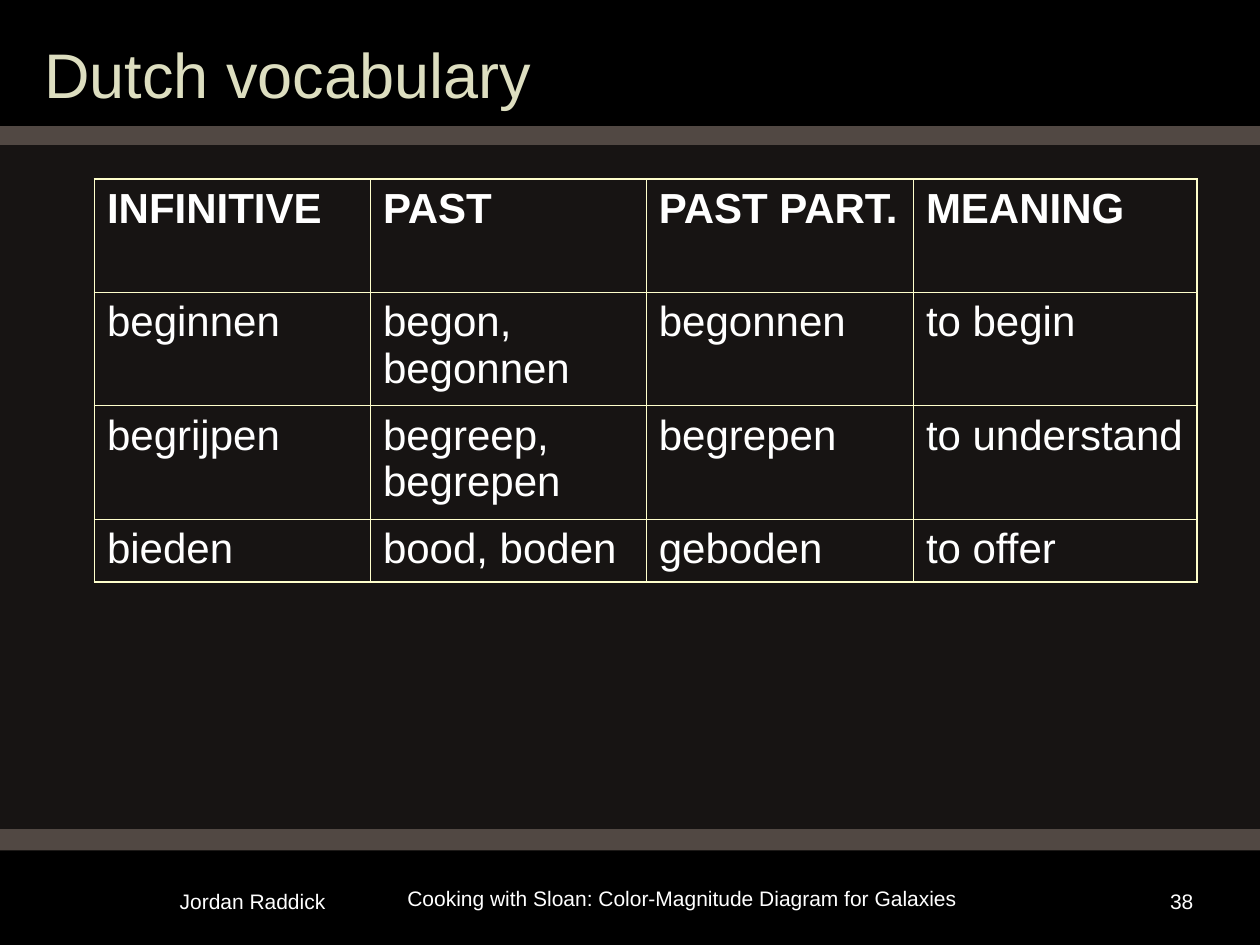
from lxml.etree import SubElement
from pptx import Presentation
from pptx.dml.color import RGBColor
from pptx.enum.shapes import MSO_SHAPE
from pptx.enum.text import MSO_ANCHOR, PP_ALIGN
from pptx.oxml.ns import qn
from pptx.util import Inches, Pt


def color(value):
    return RGBColor.from_string(value)


def add_text(para, text, size, value, bold=False):
    span = para.add_run()
    span.text = text
    span.font.name = "Arial"
    span.font.size = Pt(size)
    span.font.bold = bold
    span.font.color.rgb = color(value)


deck = Presentation()
deck.slide_width = Inches(10)
deck.slide_height = Inches(7.5)
page = deck.slides.add_slide(deck.slide_layouts[5])
page.background.fill.solid()
page.background.fill.fore_color.rgb = color("171413")

bands = [
    (6.66, 10.03, 0.84, "000000"),
    (0, 10.02, 1.08, "000000"),
    (1, 10.02, 0.15, "514843"),
    (6.58, 10.02, 0.17, "514843"),
]
for top, width, height, value in bands:
    band = page.shapes.add_shape(
        MSO_SHAPE.RECTANGLE, 0, Inches(top), Inches(width), Inches(height))
    band.shadow.inherit = False
    band.fill.solid()
    band.fill.fore_color.rgb = color(value)
    band.line.fill.background()

title = page.shapes.title
title.left, title.top = Inches(0.25), Inches(0.17)
title.width, title.height = Inches(6.92), Inches(0.83)
title.text_frame.vertical_anchor = MSO_ANCHOR.MIDDLE
title.text_frame.word_wrap = True
title_para = title.text_frame.paragraphs[0]
title_para.alignment = PP_ALIGN.LEFT
add_text(title_para, "Dutch vocabulary", 36, "DDDEC0")
page.shapes._spTree.append(title._element)

vocabulary = [
    ["INFINITIVE", "PAST", "PAST PART.", "MEANING"],
    ["beginnen", "begon, begonnen", "begonnen", "to begin"],
    ["begrijpen", "begreep, begrepen", "begrepen", "to understand"],
    ["bieden", "bood, boden", "geboden", "to offer"],
]
column_widths = [2.19, 2.19, 2.12, 2.25]
row_heights = [0.9, 0.9, 0.9, 0.5]
last_row = len(row_heights) - 1
last_column = len(column_widths) - 1
table = page.shapes.add_table(
    len(row_heights), len(column_widths), Inches(0.75), Inches(1.42),
    Inches(sum(column_widths)), Inches(sum(row_heights))).table
table.horz_banding = False
for column, width in zip(table.columns, column_widths):
    column.width = Inches(width)
for row, height in zip(table.rows, row_heights):
    row.height = Inches(height)

for row_index, words in enumerate(vocabulary):
    for column_index, word in enumerate(words):
        cell = table.cell(row_index, column_index)
        add_text(cell.text_frame.paragraphs[0], word, 24, "FFFFFF", row_index == 0)
        outer_edges = {
            "a:lnL": column_index == 0,
            "a:lnR": column_index == last_column,
            "a:lnT": row_index == 0,
            "a:lnB": row_index == last_row,
        }
        properties = cell._tc.get_or_add_tcPr()
        for edge, is_outer in outer_edges.items():
            border = SubElement(properties, qn(edge), w=str(Pt(1.08 if is_outer else 0.45)))
            border_fill = SubElement(border, qn("a:solidFill"))
            SubElement(border_fill, qn("a:srgbClr"), val="FFFFCC")
        cell.fill.background()

footers = [
    ("Jordan Raddick", 1.17, 7, 1.67, 0.33, PP_ALIGN.CENTER),
    ("Cooking with Sloan: Color-Magnitude Diagram for Galaxies",
     3.08, 6.98, 4.67, 0.33, PP_ALIGN.CENTER),
    ("38", 8.83, 7, 0.74, 0.31, PP_ALIGN.RIGHT),
]
for text, left, top, width, height, alignment in footers:
    box = page.shapes.add_textbox(
        Inches(left), Inches(top), Inches(width), Inches(height))
    box.text_frame.word_wrap = True
    para = box.text_frame.paragraphs[0]
    para.alignment = alignment
    add_text(para, text, 12, "FFFFFF")

deck.save("out.pptx")
